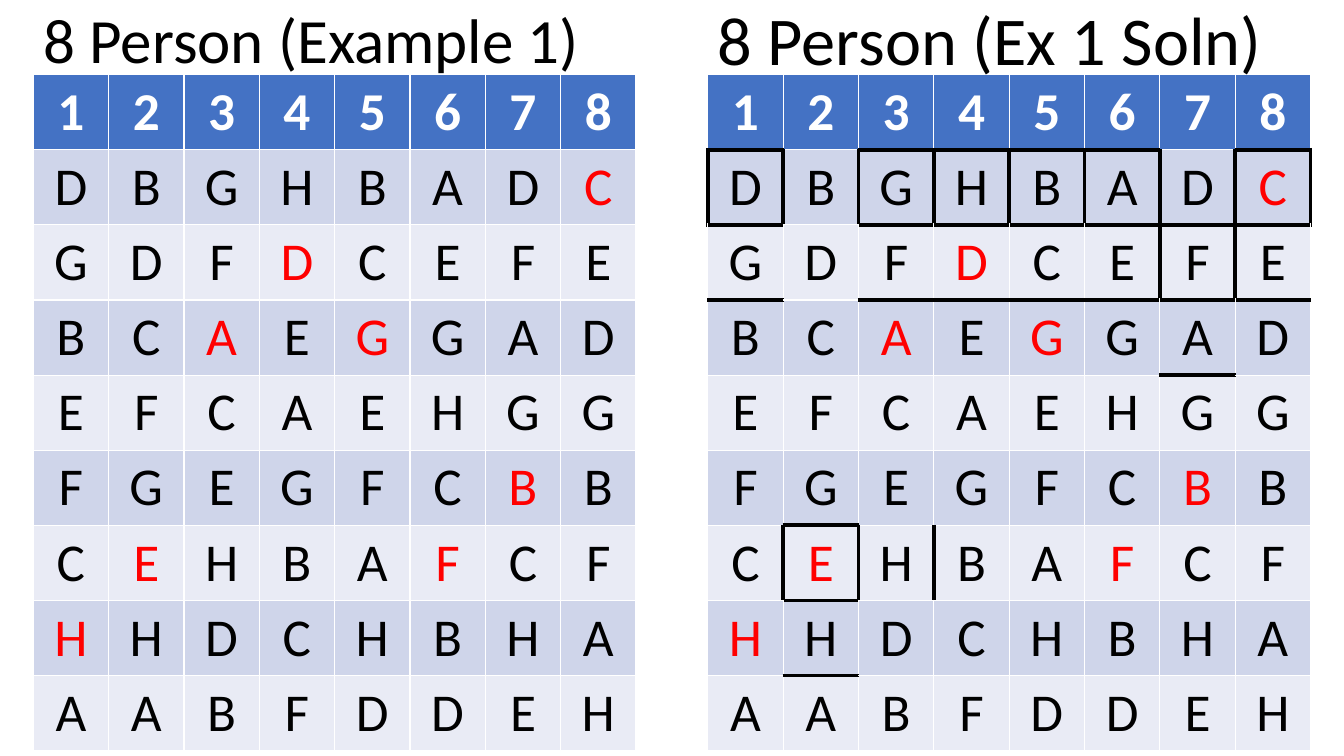
import pptx
import pptx.util
import pptx.dml.color
import pptx.enum.text
import pptx.oxml
import pptx.oxml.ns

PX = 9144
FONT = "Calibri"
COLORS = {
    "header": "4472C4",
    "odd": "CFD5EA",
    "even": "E9EBF5",
    "white": "FFFFFF",
    "black": "000000",
    "red": "FF0000",
}
ROWS = ["12345678", "DBGHBADC", "GDFDCEFE", "BCAEGGAD", "EFCAEHGG",
        "FGEGFCBB", "CEHBAFCF", "HHDCHBHA", "AABFDDEH"]
RED_ROWS = [7, 6, 3, 2, 3, 6, 5, 1]
BOXED = [(1, 0), (1, 2), (1, 3), (1, 4), (1, 5), (1, 7), (2, 6), (6, 1)]
NEIGHBOURS = {"L": (0, -1, "R"), "R": (0, 1, "L"), "T": (-1, 0, "B"), "B": (1, 0, "T")}
TOP, WIDTH, HEIGHT = 74, 598, 660
PANELS = [
    ("8 Person (Example 1)", 33, 45, 69, []),
    ("8 Person (Ex 1 Soln)", 702, 48.8, 57, BOXED),
]


def style_run(r, size, color, bold):
    r.font.name = FONT
    r.font.size = pptx.util.Pt(size)
    r.font.bold = bold
    r.font.color.rgb = pptx.dml.color.RGBColor.from_string(COLORS[color])


def add_border(cell, side):
    tag = f"a:ln{side}"
    tcPr = cell._tc.get_or_add_tcPr()
    if tcPr.find(pptx.oxml.ns.qn(tag)) is not None:
        return
    ln = pptx.oxml.parse_xml(
        f'<{tag} {pptx.oxml.ns.nsdecls("a")} w="38100" cap="flat" cmpd="sng" algn="ctr">'
        f'<a:solidFill><a:srgbClr val="{COLORS["black"]}"/></a:solidFill>'
        f'<a:prstDash val="solid"/></{tag}>')
    earlier = [pptx.oxml.ns.qn(f"a:ln{e}") for e in "LRTB"["LRTB".index(side)::-1]]
    tcPr.insert(sum(child.tag in earlier for child in tcPr), ln)


prs = pptx.Presentation()
prs.slide_width = 1333 * PX
prs.slide_height = 750 * PX
s = prs.slides.add_slide(prs.slide_layouts[5])

for heading, left, size, row_height, boxed in PANELS:
    frame = s.shapes.add_table(len(ROWS), len(ROWS[0]), left * PX, TOP * PX, WIDTH * PX, HEIGHT * PX)
    table = frame.table
    for i, letters in enumerate(ROWS):
        table.rows[i].height = row_height * PX
        for j, letter in enumerate(letters):
            cell = table.cell(i, j)
            fill = "header" if i == 0 else "odd" if i % 2 else "even"
            color = "white" if i == 0 else "red" if RED_ROWS[j] == i else "black"
            cell.fill.solid()
            cell.fill.fore_color.rgb = pptx.dml.color.RGBColor.from_string(COLORS[fill])
            cell.text_frame.text = letter
            p = cell.text_frame.paragraphs[0]
            p.alignment = pptx.enum.text.PP_ALIGN.CENTER
            style_run(p.runs[0], 38, color, i == 0)
    frame.height = HEIGHT * PX

    for i, j in boxed:
        for side, (di, dj, opposite) in NEIGHBOURS.items():
            add_border(table.cell(i, j), side)
            if 0 <= j + dj < len(ROWS[0]):
                add_border(table.cell(i + di, j + dj), opposite)

    if heading == PANELS[0][0]:
        sp = s.shapes.title
        s.shapes.element.append(sp.element)
    else:
        sp = s.shapes.add_textbox(0, 0, 0, 0)
    sp.left, sp.top, sp.width, sp.height = [n * PX for n in (left, -30, WIDTH, 145)]
    tf = sp.text_frame
    tf.text = heading
    tf.word_wrap = True
    tf.auto_size = pptx.enum.text.MSO_AUTO_SIZE.NONE
    tf.vertical_anchor = pptx.enum.text.MSO_ANCHOR.MIDDLE
    p = tf.paragraphs[0]
    p.alignment = pptx.enum.text.PP_ALIGN.LEFT
    p.line_spacing = 0.9
    style_run(p.runs[0], size, "black", False)

prs.save("out.pptx")
